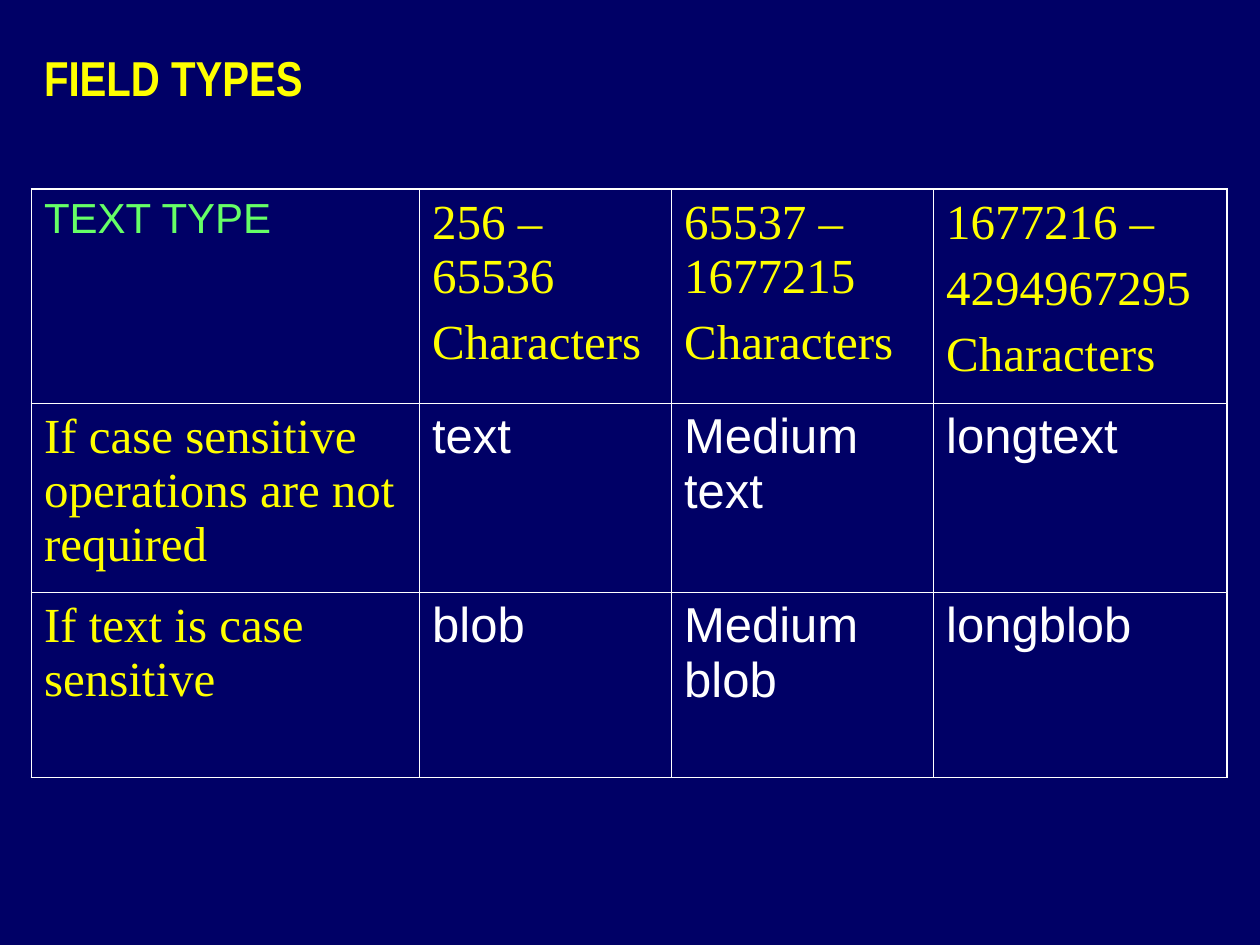
from lxml import etree
from pptx import Presentation
from pptx import util as u
from pptx.dml.color import RGBColor
from pptx.oxml import ns

NAVY, WHITE, YELLOW, GREEN = "000066", "FFFFFF", "FFFF00", "66FF66"
SANS, SERIF, NARROW = "Arial", "Times New Roman", "Arial Narrow"
OUTER, INNER = 1.08, 0.45

COLUMN_WIDTHS = [3.08, 2, 2.08, 2.33]
ROW_HEIGHTS = [1.7, 1.5, 1.47]
FIELD_TYPES = [
    ["TEXT TYPE", "256 – 65536\nCharacters", "65537 – 1677215\nCharacters",
     "1677216 –\n4294967295\nCharacters"],
    ["If case sensitive operations are not required", "text", "Medium text", "longtext"],
    ["If text is case sensitive", "blob", "Medium blob", "longblob"],
]


def rgb(value):
    return RGBColor.from_string(value)


def cell_style(row, column):
    """Return font name, size and colour for a table position."""
    if row == column == 0:
        return SANS, 24, GREEN
    if row == 0 or column == 0:
        return SERIF, 28, YELLOW
    return SANS, 28, WHITE


class SlideBuilder:
    def __init__(self, slide, background):
        self.slide = slide
        fill = slide.background.fill
        fill.solid()
        fill.fore_color.rgb = rgb(background)

    def set_text(self, frame, content, font, size, color, bold=False):
        frame.word_wrap = True
        frame.text = content
        for index, paragraph in enumerate(frame.paragraphs):
            if index:
                paragraph.space_before = u.Pt(7)
            paragraph.font.name = font
            paragraph.font.size = u.Pt(size)
            paragraph.font.bold = bold
            paragraph.font.color.rgb = rgb(color)

    def title(self, content, left, top, width, height):
        box = self.slide.shapes.add_textbox(
            u.Inches(left), u.Inches(top), u.Inches(width), u.Inches(height))
        self.set_text(box.text_frame, content, NARROW, 28, YELLOW, bold=True)
        box.text_frame.margin_left = u.Inches(0.35)

    def borders(self, cell, widths):
        """Draw white cell borders; widths are left, right, top, bottom in points."""
        properties = cell._tc.get_or_add_tcPr()
        for index, (side, width) in enumerate(zip("LRTB", widths)):
            line = etree.Element(ns.qn(f"a:ln{side}"), w=str(int(u.Pt(width))))
            fill = etree.SubElement(line, ns.qn("a:solidFill"))
            etree.SubElement(fill, ns.qn("a:srgbClr"), val=WHITE)
            properties.insert(index, line)

    def table(self, rows, left, top, widths, heights):
        table = self.slide.shapes.add_table(
            len(heights), len(widths), u.Inches(left), u.Inches(top),
            u.Inches(sum(widths)), u.Inches(sum(heights))).table
        table.first_row = table.horz_banding = False
        for column, width in zip(table.columns, widths):
            column.width = u.Inches(width)
        for row, height in zip(table.rows, heights):
            row.height = u.Inches(height)
        last_row, last_column = len(heights) - 1, len(widths) - 1
        for r, row in enumerate(rows):
            for c, content in enumerate(row):
                cell = table.cell(r, c)
                cell.fill.background()
                self.set_text(cell.text_frame, content, *cell_style(r, c))
                on_edge = (c == 0, c == last_column, r == 0, r == last_row)
                self.borders(cell, [OUTER if edge else INNER for edge in on_edge])


def main():
    deck = Presentation()
    deck.slide_width, deck.slide_height = u.Inches(10), u.Inches(7.5)
    builder = SlideBuilder(deck.slides.add_slide(deck.slide_layouts[6]), NAVY)
    builder.table(FIELD_TYPES, 0.25, 1.5, COLUMN_WIDTHS, ROW_HEIGHTS)
    builder.title("FIELD TYPES", 0, 0.33, 10, 0.57)
    deck.save("out.pptx")


if __name__ == "__main__":
    main()
